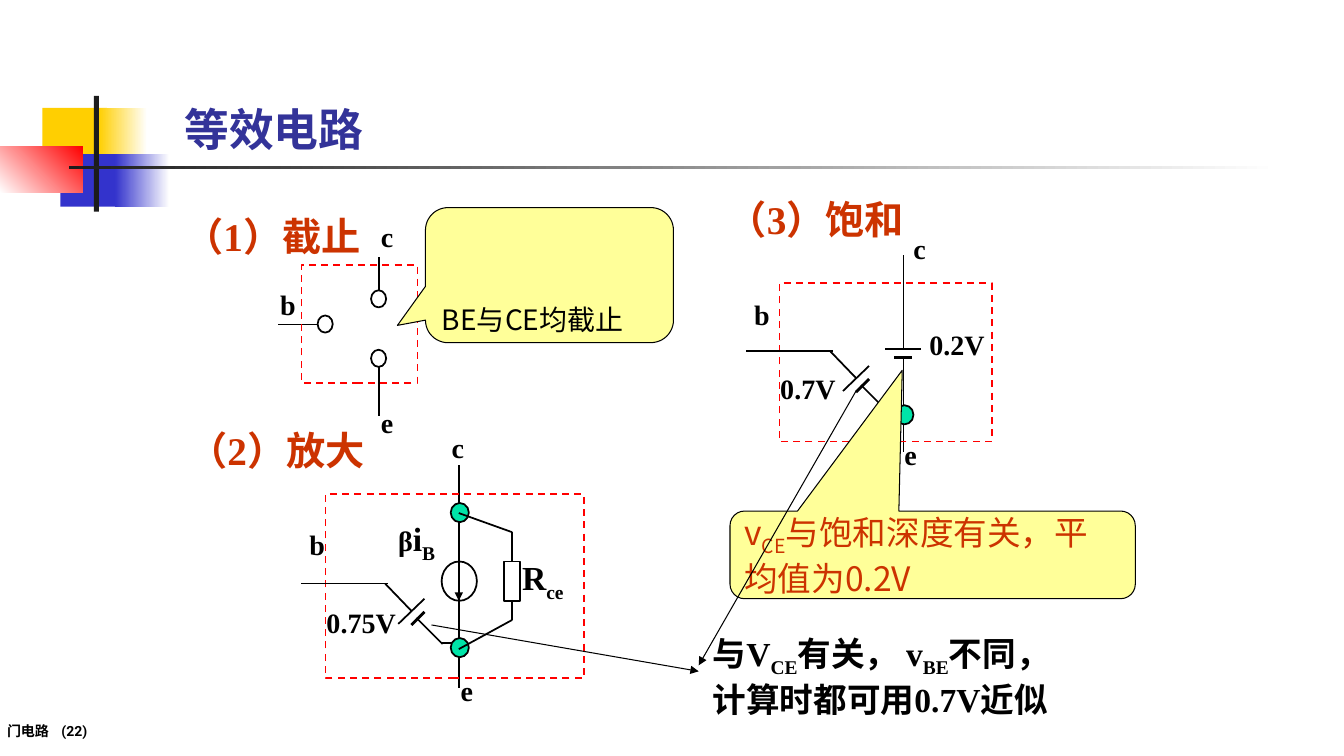
from typing import NamedTuple

from lxml.etree import SubElement
from pptx import Presentation
from pptx.dml.color import RGBColor
from pptx.enum.dml import MSO_LINE as Dash
from pptx.enum.shapes import MSO_CONNECTOR as Conn, MSO_SHAPE as Kind
from pptx.enum.text import MSO_ANCHOR as Anchor
from pptx.oxml.ns import qn
from pptx.shapes.autoshape import Shape
from pptx.shapes.connector import Connector
from pptx.shapes.shapetree import GroupShapes, SlideShapes
from pptx.text.text import TextFrame
from pptx.util import Emu, Pt

SCALE = 9144  # EMU in one px, 100 px to the inch
SERIF, SANS = "Times New Roman", "Noto Sans CJK SC"
BLACK, WHITE, RED, RUST = "000000", "FFFFFF", "FF0000", "CC3300"
GREEN, CREAM, BLUE, GOLD, DARK = "00E4A8", "FFFF99", "3333CC", "FFCF01", "1C1C1C"
Area = SlideShapes | GroupShapes


class Box(NamedTuple):
    x: int
    y: int
    w: int
    h: int


class Wire(NamedTuple):
    x1: int
    y1: int
    x2: int
    y2: int
    pt: float = 1.25
    arrow: bool = False


class Style(NamedTuple):
    size: int
    font: str = SERIF
    color: str = BLACK
    bold: bool = True


class Label(NamedTuple):
    text: str
    box: Box
    wrap: bool = True


class Block(NamedTuple):
    box: Box
    start: str
    end: str = ""
    angle: int = 0


LABEL = Style(20)
HEAD = Style(28, SERIF, RUST)

BLOCKS = [
    Block(Box(42, 107, 64, 52), GOLD),
    Block(Box(98, 107, 48, 52), GOLD, WHITE),
    Block(Box(60, 153, 62, 52), BLUE),
    Block(Box(114, 153, 54, 52), BLUE, WHITE),
    Block(Box(0, 145, 82, 46), WHITE, RED, 45),
    Block(Box(93, 95, 5, 115), DARK),
    Block(Box(68, 165, 1200, 3), DARK, WHITE),
]
HEADS = [
    Label("（1）截止", Box(173, 206, 216, 57)),
    Label("（2）放大", Box(177, 418, 236, 57)),
    Label("（3）饱和", Box(712, 189, 220, 57)),
]
# Base lead, slanted battery and emitter link, measured from the lead's left end
BASE = [
    Wire(0, 0, 86, 0),
    Wire(83, 0, 109, 27),
    Wire(122, 15, 96, 40),
    Wire(122, 28, 109, 41, 2),
    Wire(114, 34, 140, 60),
    Wire(138, 59, 156, 59),
]


def px(n: int) -> Emu:
    return Emu(n * SCALE)


def rgb(code: str) -> RGBColor:
    return RGBColor.from_string(code)


def shape(area: Area, kind: Kind, box: Box, fill: str = "", line: str = "",
          pt: float = 1.25) -> Shape:
    item = area.add_shape(kind, *map(px, box))
    item.shadow.inherit = False
    if fill:
        item.fill.solid()
        item.fill.fore_color.rgb = rgb(fill)
    else:
        item.fill.background()
    if line:
        item.line.color.rgb = rgb(line)
        item.line.width = Pt(pt)
    else:
        item.line.fill.background()
    return item


def block(area: Area, part: Block) -> None:
    item = shape(area, Kind.RECTANGLE, part.box, part.start)
    if part.end:
        item.fill.gradient()
        item.fill.gradient_angle = part.angle
        for stop, code in zip(item.fill.gradient_stops, (part.start, part.end)):
            stop.color.rgb = rgb(code)


def wire(area: Area, part: Wire) -> Connector:
    ends = map(px, (part.x1, part.y1, part.x2, part.y2))
    item = area.add_connector(Conn.STRAIGHT, *ends)
    item.line.color.rgb = rgb(BLACK)
    item.line.width = Pt(part.pt)
    if part.arrow:
        SubElement(item.line._get_or_add_ln(), qn("a:tailEnd"), type="triangle")
    SubElement(item._element.spPr, qn("a:effectLst"))
    return item


def write(frame: TextFrame, text: str, style: Style) -> None:
    """Fill a frame; every second piece between underscores is a subscript."""
    for i, row in enumerate(text.split("\n")):
        para = frame.add_paragraph() if i else frame.paragraphs[0]
        para.alignment = 1
        for k, piece in enumerate(row.split("_")):
            if not piece:
                continue
            run = para.add_run()
            run.text = piece
            font = run.font
            font.size, font.bold, font.name = Pt(style.size), style.bold, style.font
            font.color.rgb = rgb(style.color)
            props = run._r.get_or_add_rPr()
            SubElement(props, qn("a:ea"), typeface=SANS)
            if k % 2:
                props.set("baseline", "-25000")


def label(area: Area, part: Label, style: Style = LABEL) -> TextFrame:
    frame = area.add_textbox(*map(px, part.box)).text_frame
    frame.word_wrap = part.wrap
    write(frame, part.text, style)
    return frame


def names(area: Area, spots: dict[str, tuple[int, int]]) -> None:
    for name, (x, y) in spots.items():
        label(area, Label(name, Box(x, y, 38, 43)))


def frame_box(area: Area, box: Box) -> None:
    shape(area, Kind.RECTANGLE, box, line=RED).line.dash_style = Dash.DASH


def node(area: Area, x: int, y: int) -> None:
    shape(area, Kind.OVAL, Box(x, y, 18, 19), GREEN, BLACK)


def base(area: Area, x: int, y: int) -> None:
    for w in BASE:
        wire(area, Wire(x + w.x1, y + w.y1, x + w.x2, y + w.y2, w.pt))
    node(area, x + 148, y + 54)


def cutoff(area: Area) -> None:
    for x, y in ((315, 313), (368, 288), (368, 347)):
        shape(area, Kind.OVAL, Box(x, y, 15, 17), line=BLACK)
    for w in (Wire(315, 322, 276, 322), Wire(376, 288, 376, 255),
              Wire(376, 363, 376, 413)):
        wire(area, w)
    names(area, {"b": (268, 280), "c": (368, 213), "e": (368, 397)})
    frame_box(area, Box(299, 263, 115, 117))


def saturated(area: Area) -> None:
    for w in (Wire(896, 346, 896, 253), Wire(896, 355, 896, 448),
              Wire(878, 346, 913, 346), Wire(887, 355, 905, 355, 2)):
        wire(area, w)
    names(area, {"b": (738, 290), "c": (896, 225), "e": (887, 429)})
    frame_box(area, Box(773, 281, 211, 157))
    base(area, 740, 348)
    label(area, Label("0.2V", Box(912, 320, 75, 43), False))
    label(area, Label("0.7V", Box(764, 364, 75, 43), False))


def active(area: Area) -> None:
    for w in (Wire(455, 577, 455, 461), Wire(455, 586, 455, 683),
              Wire(455, 557, 455, 596, arrow=True)):
        wire(area, w)
    names(area, {"b": (297, 518), "c": (438, 422), "e": (447, 663)})
    frame_box(area, Box(323, 490, 256, 183))
    base(area, 299, 579)
    node(area, 447, 499)
    shape(area, Kind.OVAL, Box(438, 557, 35, 39), line=BLACK)
    load = shape(area, Kind.RECTANGLE, Box(500, 557, 16, 39), line=BLACK)
    wire(area, Wire(508, 528, 508, 557)).end_connect(load, 0)
    wire(area, Wire(508, 596, 508, 615)).begin_connect(load, 2)
    wire(area, Wire(508, 615, 455, 644))
    wire(area, Wire(508, 528, 455, 509))
    gain = label(area, Label("β__i_B_", Box(385, 509, 76, 50)), Style(24))
    gain.paragraphs[0].runs[0].font.size = Pt(20)
    label(area, Label("R_ce_", Box(508, 548, 79, 50)), Style(24))
    label(area, Label("0.75V", Box(314, 596, 90, 44), False))


def callout(area: Area, part: Label, tip: tuple[float, float], style: Style) -> TextFrame:
    item = shape(area, Kind.ROUNDED_RECTANGULAR_CALLOUT, part.box, CREAM, BLACK, 0.75)
    for i, value in enumerate((*tip, 0.167)):
        item.adjustments[i] = value
    frame = item.text_frame
    frame.word_wrap = True
    frame.vertical_anchor = Anchor.MIDDLE
    write(frame, part.text, style)
    return frame


def footer(area: Area) -> None:
    frame = label(area, Label("门电路\t(22)", Box(0, 714, 236, 22)),
                  Style(10, "Roboto"))
    frame.margin_left = frame.margin_right = px(7)
    frame.margin_top = frame.margin_bottom = px(3)
    tabs = SubElement(frame.paragraphs[0]._p.get_or_add_pPr(), qn("a:tabLst"))
    SubElement(tabs, qn("a:tab"), pos=str(px(54)), algn="l")


def main() -> None:
    deck = Presentation()
    deck.slide_width, deck.slide_height = px(1333), px(750)
    area = deck.slides.add_slide(deck.slide_layouts[6]).shapes
    for part in BLOCKS:
        block(area, part)
    footer(area)
    for part in HEADS:
        label(area, part, HEAD)
    for draw in (cutoff, saturated, active):
        draw(area.add_group_shape().shapes)
    callout(area, Label("v_CE_与饱和深度有关，平均值为0.2V", Box(724, 507, 402, 87)),
            (-0.075, -2.105), Style(24, SANS, RUST, False))
    for w in (Wire(428, 620, 693, 666, 0.75, True), Wire(849, 388, 693, 660, 0.75, True)):
        wire(area, w)
    label(area, Label("与V_CE_有关， v_BE_不同，\n计算时都可用0.7V近似",
                      Box(697, 623, 416, 91)), Style(24))
    note = callout(area, Label("BE与CE均截止", Box(422, 206, 246, 134)),
                   (-0.613, 0.372), Style(20, SANS, BLACK, False))
    note.vertical_anchor, note.margin_bottom = Anchor.BOTTOM, 0
    title = label(area, Label("等效电路", Box(173, 84, 1011, 75)),
                  Style(32, SANS, "333399"))
    title.vertical_anchor = Anchor.BOTTOM
    deck.save("out.pptx")


if __name__ == "__main__":
    main()
